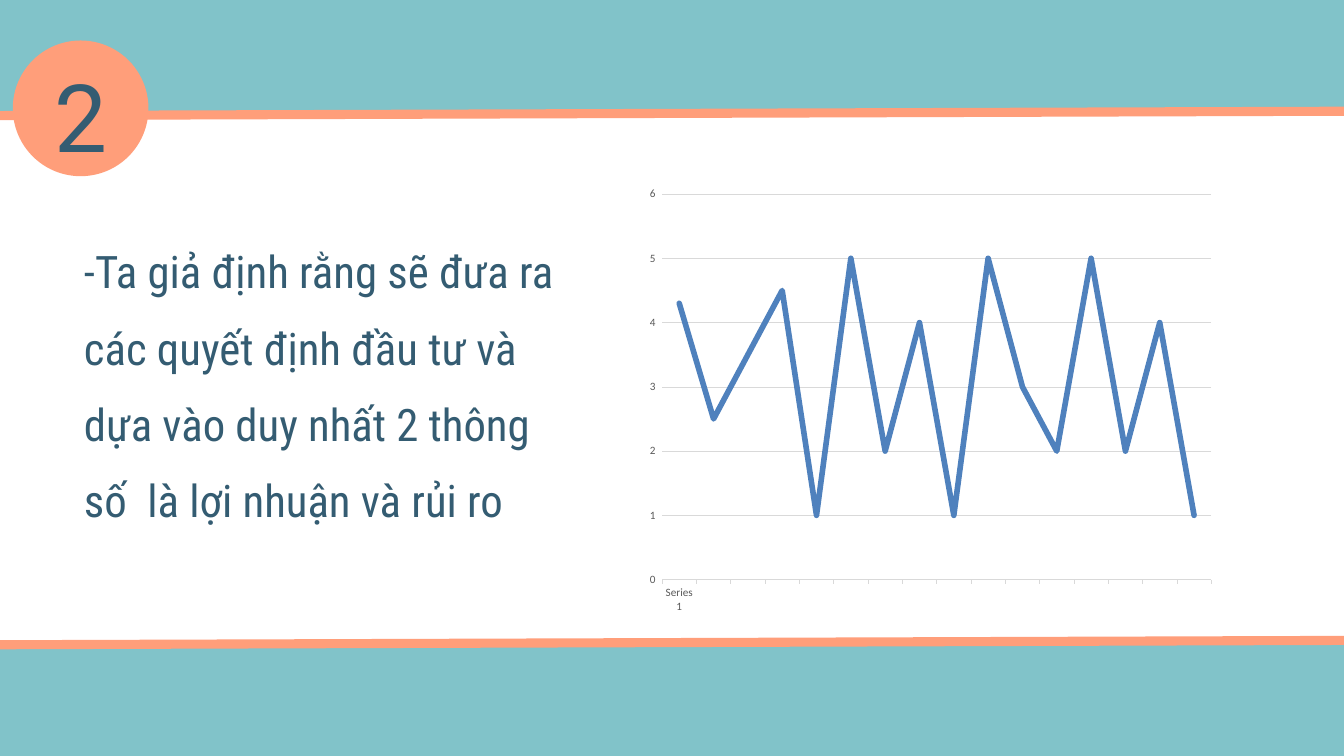
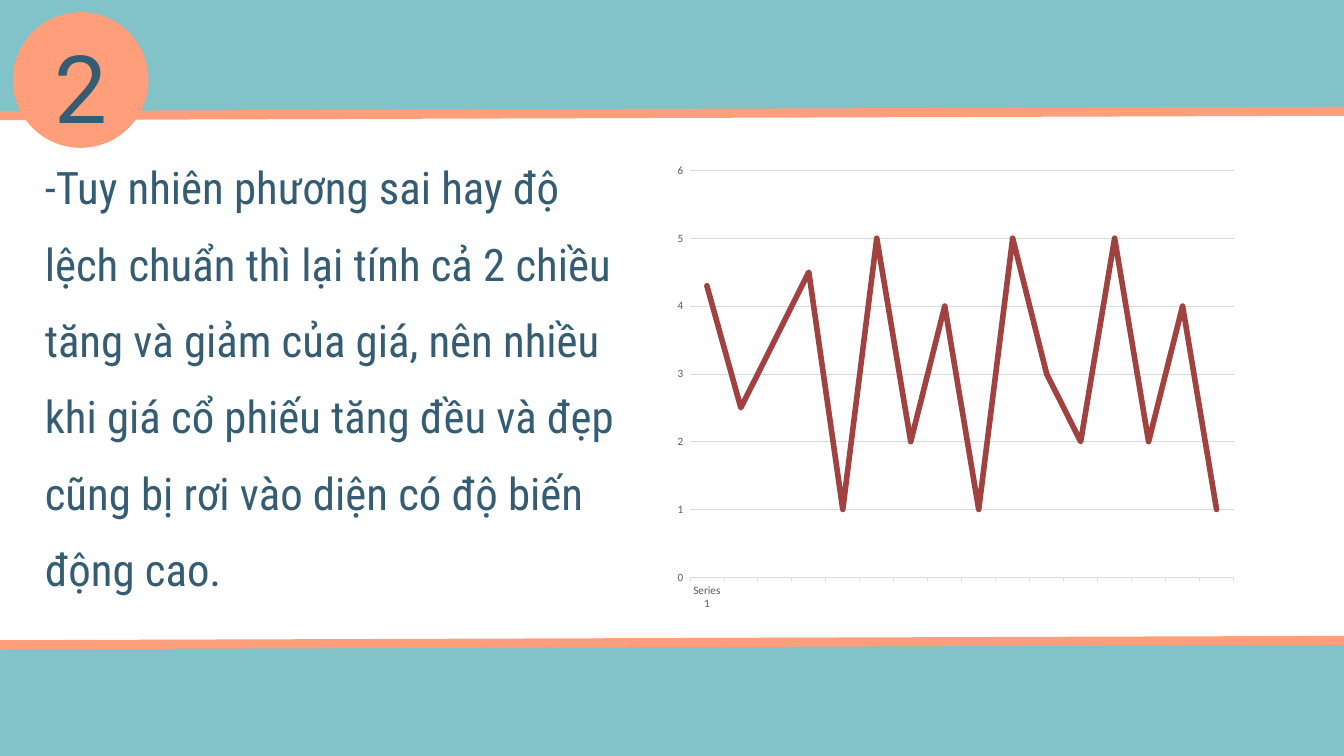
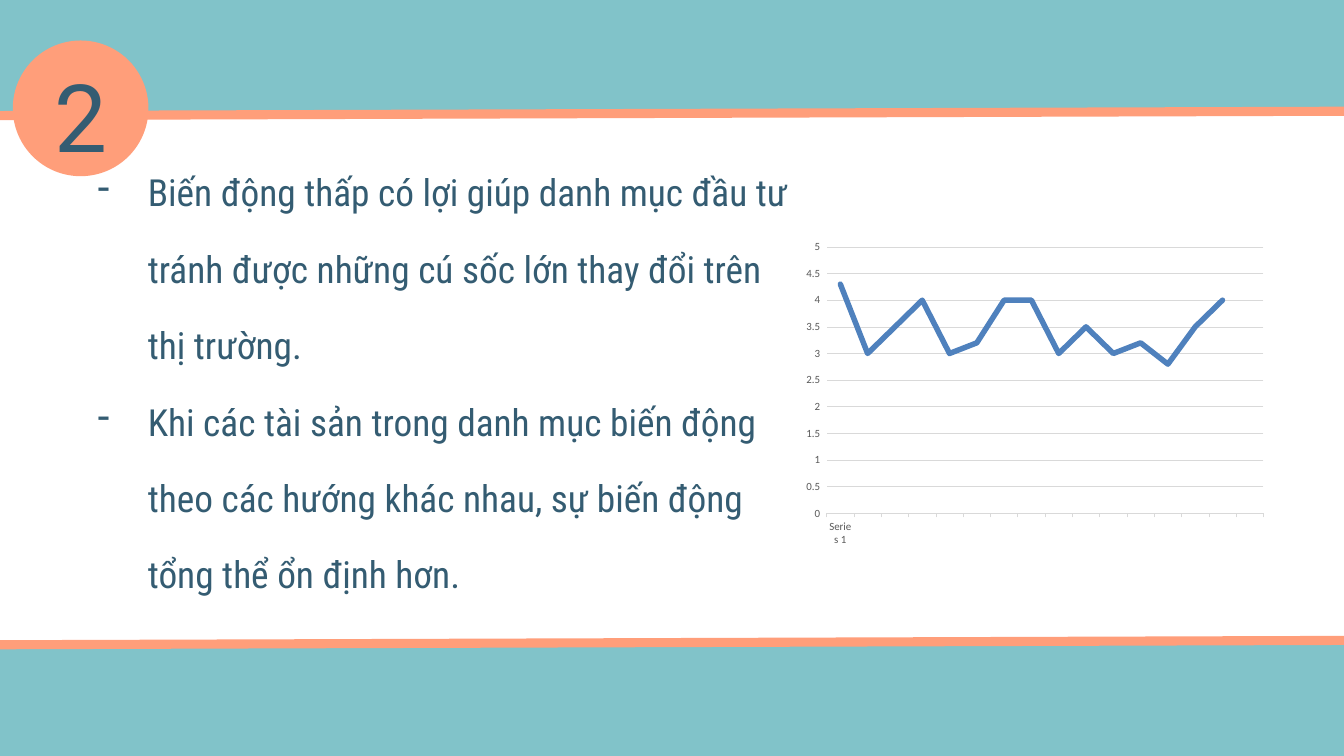
from dataclasses import dataclass

from lxml import etree
from pptx import Presentation
from pptx.chart import data as cd
from pptx.dml.color import RGBColor
from pptx.enum import chart as ch, shapes, text
from pptx.oxml import parse_xml
from pptx.oxml.ns import nsdecls, qn
from pptx.util import Pt

# Content: boxes are left, top, width, height in points
SWINGS = [4.3, 2.5, 3.5, 4.5, 1, 5, 2, 4, 1, 5, 3, 2, 5, 2, 4, 1]
CALM = [4.3, 3, 3.5, 4, 3, 3.2, 4, 4, 3, 3.5, 3, 3.2, 2.8, 3.5, 4, None]
SERIES = "Series 1"
NUMBER = "2"

SLIDES = [
    dict(badge_top=43.4, size=48, bullet=False, text_box=(90, 237, 504, 414),
         paragraphs=["-Ta giả định rằng sẽ đưa ra các quyết định đầu tư và dựa vào "
                     "duy nhất 2 thông số  là lợi nhuận và rủi ro"],
         values=SWINGS, color="4F81BD", top=6, step=1,
         chart_box=(696.2, 174.2, 612, 489)),
    dict(badge_top=13, size=48, bullet=False, text_box=(48, 147, 636, 497),
         paragraphs=["-Tuy nhiên phương sai hay độ lệch chuẩn thì lại tính cả 2 chiều "
                     "tăng và giảm của giá, nên nhiều khi giá cổ phiếu tăng đều và đẹp "
                     "cũng bị rơi vào diện có độ biến động cao."],
         values=SWINGS, color="9F4240", top=6, step=1,
         chart_box=(726, 147, 606, 516)),
    dict(badge_top=43.4, size=40, bullet=True, text_box=(104.4, 147.6, 747.4, 497),
         paragraphs=["Biến động thấp có lợi giúp danh mục đầu tư tránh được những cú "
                     "sốc lớn thay đổi trên thị trường.",
                     "Khi các tài sản trong danh mục biến động theo các hướng khác nhau, "
                     "sự biến động tổng thể ổn định hơn."],
         values=CALM, color="4F81BD", top=5, step=0.5,
         chart_box=(864, 241.2, 498, 344)),
]


@dataclass(frozen=True)
class Theme:
    teal: str = "81C3C9"
    coral: str = "FF9E7A"
    white: str = "FFFFFF"
    ink: str = "345C72"
    grid: str = "D9D9D9"
    label: str = "595959"
    body_font: str = "Roboto Condensed"
    number_font: str = "Roboto"
    chart_font: str = "Calibri"
    number_size: float = 101
    number_spacing: float = 141.4
    body_spacing: float = 81.9
    label_size: float = 12
    rule_width: float = 9.75
    series_width: float = 6
    indent: float = 54


T = Theme()
WIDTH, HEIGHT = 1440, 810
BAND = (-52, 121.5, 1544, 567)
TILT = 2.5  # each rule rises this far either side of its band edge
BADGE_LEFT, BADGE_SIZE = 13.7, 145.4
PLOT = dict(x=0.019, y=0.069, w=0.964, h=0.845)


def rgb(color):
    return RGBColor.from_string(color)


def pts(box):
    return [Pt(v) for v in box]


def add_filled(s, kind, box, color):
    sp = s.shapes.add_shape(kind, *pts(box))
    sp.shadow.inherit = False
    sp.fill.solid()
    sp.fill.fore_color.rgb = rgb(color)
    sp.line.fill.background()


def add_rule(s, y):
    left, _, width, _ = BAND
    ends = pts((left, y + TILT, left + width, y - TILT))
    sp = s.shapes.add_connector(shapes.MSO_CONNECTOR.STRAIGHT, *ends)
    sp.line.color.rgb = rgb(T.coral)
    sp.line.width = Pt(T.rule_width)
    etree.SubElement(sp._element.spPr, qn("a:effectLst"))


def add_text(s, box, lines, font, size, spacing, align=None, bullet=False):
    tf = s.shapes.add_textbox(*pts(box)).text_frame
    tf.word_wrap = True
    tf.auto_size = text.MSO_AUTO_SIZE.SHAPE_TO_FIT_TEXT
    tf.margin_left = tf.margin_top = tf.margin_right = tf.margin_bottom = 0
    for i, line in enumerate(lines):
        p = tf.add_paragraph() if i else tf.paragraphs[0]
        p.text = line
        p.alignment = align
        p.line_spacing = Pt(spacing)
        p.font.name, p.font.size = font, Pt(size)
        p.font.color.rgb = rgb(T.ink)
        if bullet:
            pPr = p._p.get_or_add_pPr()
            pPr.set("marL", str(Pt(T.indent)))
            pPr.set("indent", str(-Pt(T.indent)))
            mark = parse_xml(f'<a:buChar {nsdecls("a")} char="-"/>')
            pPr.find(qn("a:defRPr")).addprevious(mark)


def add_line_chart(s, box, values, color, top, step):
    data = cd.CategoryChartData()
    data.categories = [SERIES] + [""] * (len(values) - 1)
    data.add_series(SERIES, values)
    chart = s.shapes.add_chart(ch.XL_CHART_TYPE.LINE, *pts(box), data).chart
    chart.has_legend = chart.has_title = False
    chart.font.name, chart.font.size = T.chart_font, Pt(T.label_size)
    chart.font.color.rgb = rgb(T.label)

    # Series line
    plot = chart.plots[0]
    plot.vary_by_categories = False
    series = plot.series[0]
    series.smooth = False
    series.marker.style = ch.XL_MARKER_STYLE.NONE
    series.format.line.color.rgb = rgb(color)
    series.format.line.width = Pt(T.series_width)
    series.format.line._get_or_add_ln().set("cap", "rnd")

    # Axes and grid
    cat, val = chart.category_axis, chart.value_axis
    val.minimum_scale, val.maximum_scale, val.major_unit = 0, top, step
    val.format.line.fill.background()
    for line in (cat.format.line, val.major_gridlines.format.line):
        line.color.rgb = rgb(T.grid)
        line.width = Pt(0.75)

    # Fixed inner plot area
    area = chart._chartSpace.chart.plotArea
    for old in area.findall(qn("c:layout")):
        area.remove(old)
    places = "".join(f'<c:{k}Mode val="edge"/>' for k in "xy")
    places += "".join(f'<c:{k} val="{v}"/>' for k, v in PLOT.items())
    area.insert(0, parse_xml(
        f'<c:layout {nsdecls("c")}><c:manualLayout><c:layoutTarget val="inner"/>'
        f'{places}</c:manualLayout></c:layout>'))


def add_badge(s, top):
    add_filled(s, shapes.MSO_SHAPE.OVAL,
               (BADGE_LEFT, top, BADGE_SIZE, BADGE_SIZE), T.coral)
    add_text(s, (38.9, top - 1.6, 95, 131.8), [NUMBER], T.number_font,
             T.number_size, T.number_spacing, text.PP_ALIGN.CENTER)


def build_slide(prs, c):
    s = prs.slides.add_slide(prs.slide_layouts[6])
    s.background.fill.solid()
    s.background.fill.fore_color.rgb = rgb(T.teal)
    add_filled(s, shapes.MSO_SHAPE.RECTANGLE, BAND, T.white)
    for y in (BAND[1] + BAND[3], BAND[1]):
        add_rule(s, y)
    add_line_chart(s, c["chart_box"], c["values"], c["color"], c["top"], c["step"])
    add_text(s, c["text_box"], c["paragraphs"], T.body_font, c["size"],
             T.body_spacing, bullet=c["bullet"])
    add_badge(s, c["badge_top"])


def main():
    prs = Presentation()
    prs.slide_width, prs.slide_height = Pt(WIDTH), Pt(HEIGHT)
    for content in SLIDES:
        build_slide(prs, content)
    prs.save("out.pptx")


if __name__ == "__main__":
    main()
